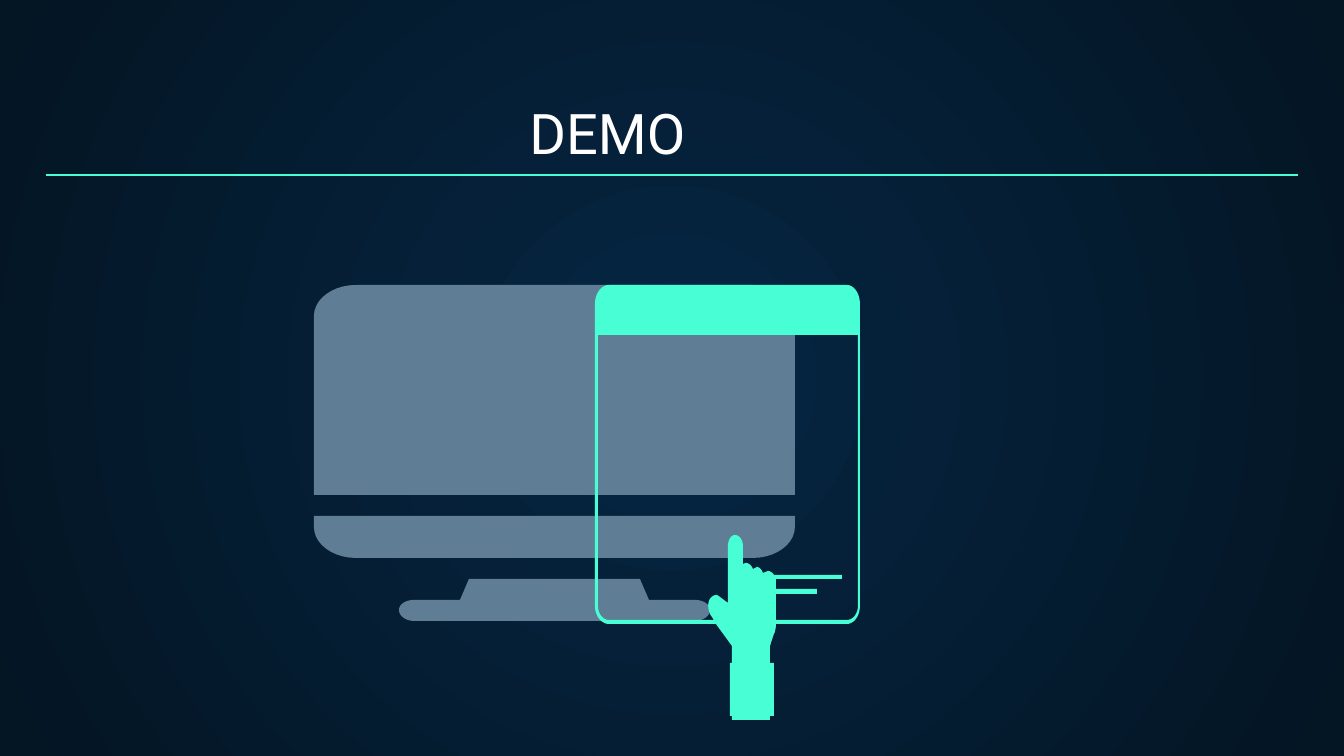
import pptx
import pptx.util
import pptx.dml.color
import pptx.enum.shapes
import pptx.enum.text
import pptx.oxml
import pptx.oxml.ns

PX = 914400 / 134.4
CURVE_STEPS = 10
MINT = pptx.dml.color.RGBColor(0x48, 0xFF, 0xD5)
SLATE = pptx.dml.color.RGBColor(0x5F, 0x7D, 0x95)
WHITE = pptx.dml.color.RGBColor(0xFF, 0xFF, 0xFF)
NAVY = pptx.dml.color.RGBColor(0x05, 0x26, 0x43)
MIDNIGHT = pptx.dml.color.RGBColor(0x04, 0x15, 0x23)


def px(length):
    return pptx.util.Emu(round(length * PX))


def draw_outline(shapes, contours, color):
    builder = None
    for contour in contours:
        points = []
        for step in contour:
            if len(step) == 2:
                points.append(step)
                continue
            start, corner, end = points[-1], step[:2], step[2:]
            for i in range(1, CURVE_STEPS + 1):
                t = i / CURVE_STEPS
                pull = 1.65 * t * (1 - t)
                weight_start = (1 - t) ** 3 + 1.35 * t * (1 - t) ** 2
                weight_end = t ** 3 + 1.35 * t ** 2 * (1 - t)
                points.append(tuple(weight_start * a + pull * b + weight_end * c
                                    for a, b, c in zip(start, corner, end)))
        points = [(px(x), px(y)) for x, y in points]
        if builder is None:
            builder = shapes.build_freeform(*points[0], scale=1.0)
        else:
            builder.move_to(*points[0])
        builder.add_line_segments(points[1:], close=True)
    outline = builder.convert_to_shape()
    outline.fill.solid()
    outline.fill.fore_color.rgb = color
    outline.line.fill.background()
    outline.shadow.inherit = False


deck = pptx.Presentation()
deck.slide_width = px(1344)
deck.slide_height = px(756)
slide = deck.slides.add_slide(deck.slide_layouts[5])

backdrop = slide.background.fill
backdrop.gradient()
for stop, color, position in zip(backdrop.gradient_stops, (NAVY, MIDNIGHT), (0, 1)):
    stop.color.rgb = color
    stop.position = position
gradient = slide.element.xpath(".//a:gradFill")[0]
for linear in gradient.findall(pptx.oxml.ns.qn("a:lin")):
    gradient.remove(linear)
gradient.append(pptx.oxml.parse_xml(
    f'<a:path {pptx.oxml.ns.nsdecls("a")} path="circle">'
    '<a:fillToRect l="50000" t="50000" r="50000" b="50000"/></a:path>'))

title = slide.shapes.title
title.left, title.top, title.width, title.height = px(175), px(90), px(865), px(89)
frame = title.text_frame
frame.text = "DEMO"
frame.word_wrap = True
frame.auto_size = pptx.enum.text.MSO_AUTO_SIZE.NONE
frame.vertical_anchor = pptx.enum.text.MSO_ANCHOR.BOTTOM
frame.margin_left = frame.margin_right = frame.margin_top = frame.margin_bottom = px(13)
heading = frame.paragraphs[0]
heading.alignment = pptx.enum.text.PP_ALIGN.CENTER
heading.font.name = "Roboto"
heading.font.size = pptx.util.Pt(30)
heading.font.color.rgb = WHITE

rule = slide.shapes.add_connector(
    pptx.enum.shapes.MSO_CONNECTOR.STRAIGHT, px(46), px(175), px(1298), px(175))
rule.line.color.rgb = MINT
rule.line.width = pptx.util.Pt(0.75)
rule._element.spPr.append(pptx.oxml.parse_xml(
    f'<a:effectLst {pptx.oxml.ns.nsdecls("a")}/>'))

stand = [(469, 579), (460, 600), (414, 600), (399, 600, 399, 610),
         (399, 621, 414, 621), (695, 621), (710, 621, 710, 610),
         (710, 600, 695, 600), (649, 600), (640, 579)]
chin = [(314, 516), (314, 527), (314, 558, 356, 558), (753, 558),
        (795, 558, 795, 527), (795, 516)]
screen = [(356, 285), (314, 285, 314, 316), (314, 495), (795, 495),
          (795, 316), (795, 285, 753, 285)]
monitor = slide.shapes.add_group_shape()
for part in (stand, chin, screen):
    draw_outline(monitor.shapes, [part], SLATE)

window_and_arm = [
    (609, 285), (595, 285, 595, 304), (595, 606), (595, 624, 609, 624),
    (716, 624), (732, 646), (732, 663), (730, 663), (730, 716), (732, 716),
    (732, 720), (770, 720), (770, 716), (774, 716), (774, 663), (770, 663),
    (770, 646), (774, 634), (776, 631, 776, 624), (847, 624),
    (860, 624, 860, 606), (860, 304), (860, 285, 847, 285)]
pane_around_hand = [
    (858, 335), (858, 606), (858, 620, 847, 620), (776, 620), (776, 594),
    (817, 594), (817, 589), (776, 589), (776, 579), (842, 579), (842, 575),
    (774, 575), (772, 571, 768, 571), (763, 573), (761, 567, 757, 567),
    (753, 569), (751, 563, 746, 563), (743, 564), (743, 546),
    (743, 535, 735, 535), (728, 535, 728, 546), (728, 603), (720, 597),
    (718, 595, 716, 595), (703, 597, 710, 614), (714, 620), (609, 620),
    (598, 620, 598, 606), (598, 335)]
draw_outline(slide.shapes, [window_and_arm, pane_around_hand], MINT)

deck.save("out.pptx")
